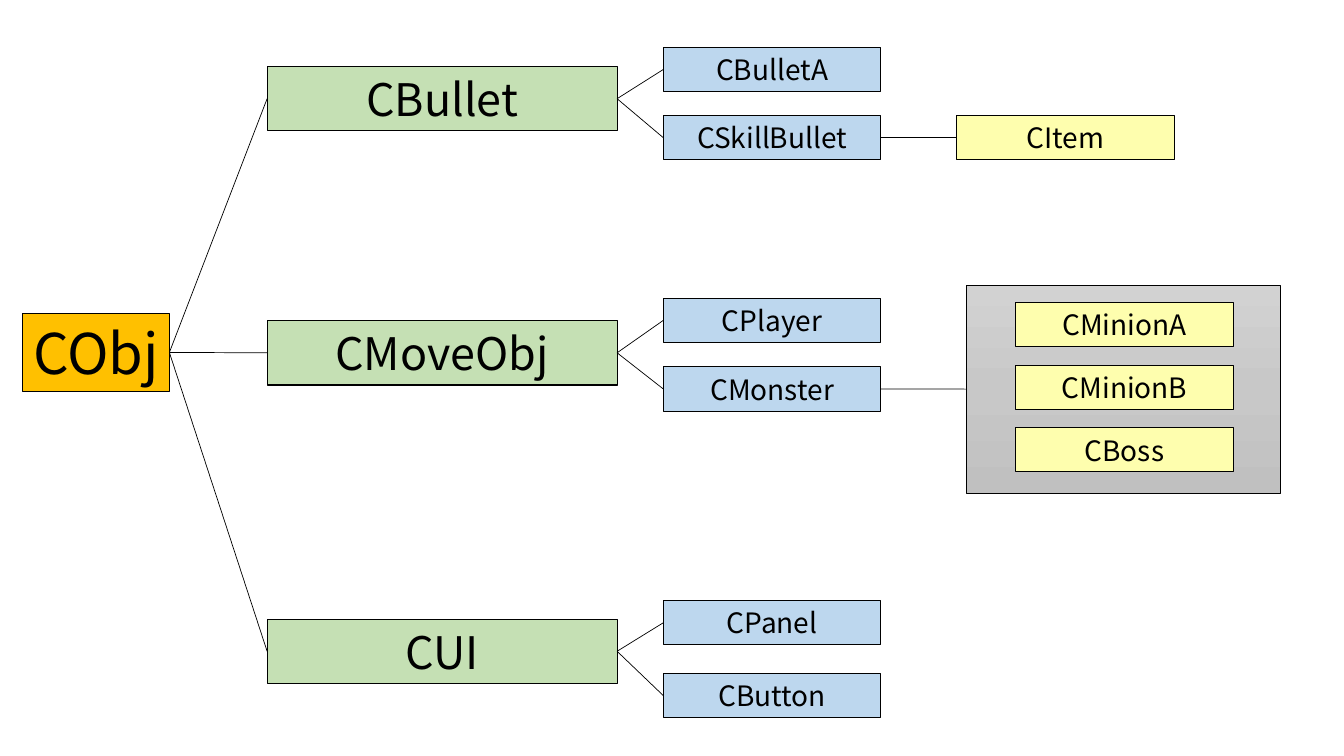
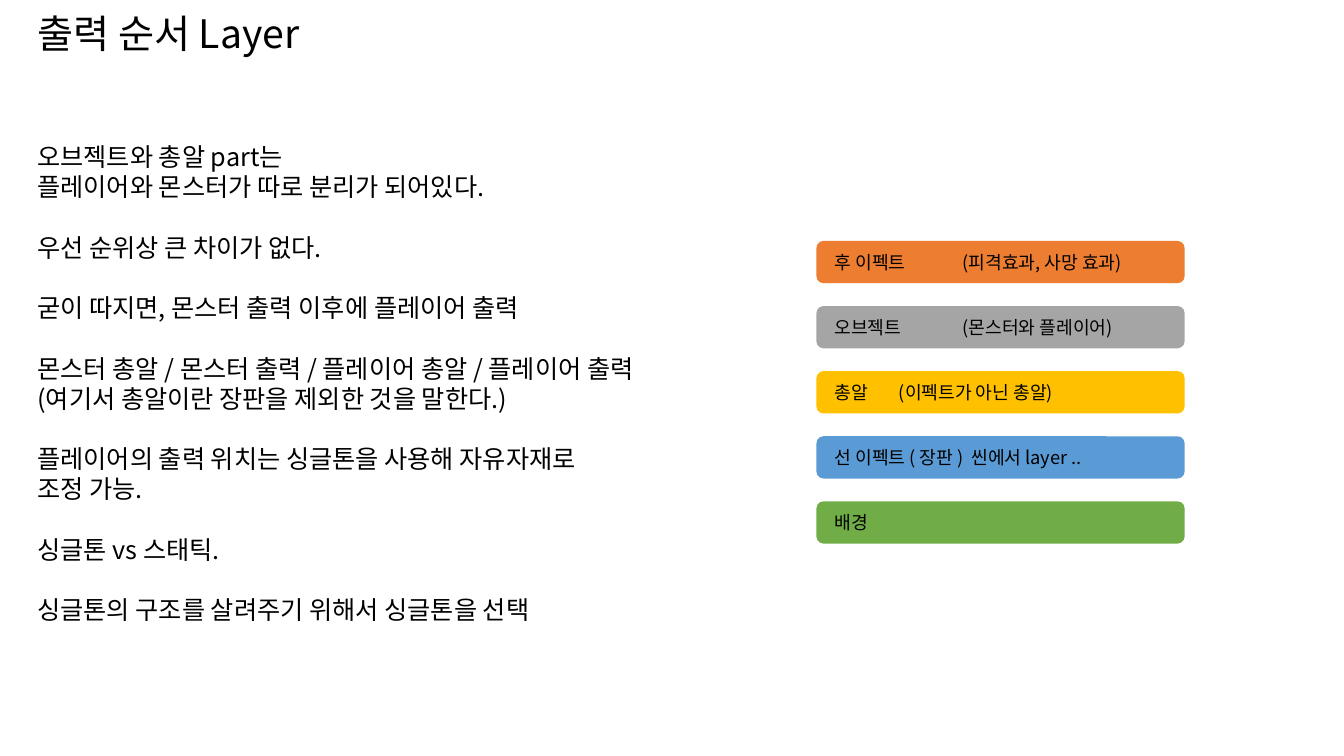
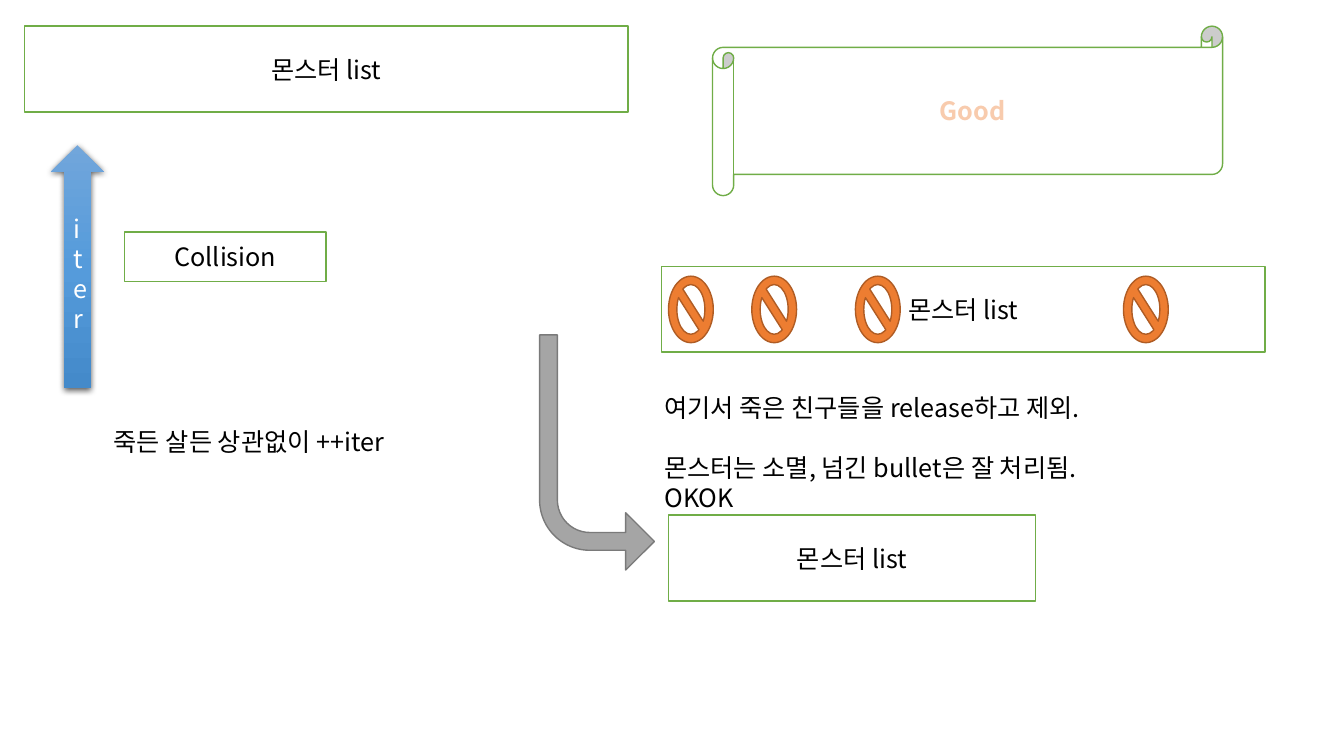
from lxml import etree
from pptx import Presentation
from pptx import util as u
from pptx.dml import color
from pptx.enum import shapes, text
from pptx.oxml import ns

Pt = u.Pt
Preset = shapes.MSO_SHAPE
Align = text.PP_ALIGN
Anchor = text.MSO_ANCHOR

# Shared style
FONT = "Noto Sans CJK KR"
BLACK, WHITE = "000000", "FFFFFF"
ORANGE, GREY, GOLD, BLUE, GREEN = "ED7D31", "A5A5A5", "FFC000", "5B9BD5", "70AD47"
PALE_GREEN, PALE_BLUE, PALE_YELLOW = "C5E0B4", "BDD7EE", "FEFEAE"
BODY_SIZE = 18
LINE_HEIGHT = 1.2


def rgb(hex_code):
    return color.RGBColor.from_string(hex_code)


def child(parent, tag, **attributes):
    """Append a DrawingML element."""
    values = {name: str(value) for name, value in attributes.items()}
    return etree.SubElement(parent, ns.qn("a:" + tag), values)


def before_font(paragraph, tag):
    """Put an element just ahead of the paragraph's font settings."""
    properties = paragraph._p.get_or_add_pPr()
    element = child(properties, tag)
    properties.find(ns.qn("a:defRPr")).addprevious(element)
    return element


def set_font(paragraph, size, ink=BLACK, bold=None):
    font = paragraph.font
    font.size, font.bold = Pt(size), bold
    font.color.rgb = rgb(ink)
    font.name = FONT
    child(paragraph._p.pPr.find(ns.qn("a:defRPr")), "ea", typeface=FONT)


def write_line(shape, words, size=BODY_SIZE, ink=BLACK, align=Align.CENTER, wrap=False, bold=None):
    """Write one vertically centred paragraph."""
    frame = shape.text_frame
    frame.word_wrap = wrap
    frame.vertical_anchor = Anchor.MIDDLE
    paragraph = frame.paragraphs[0]
    paragraph.text = words
    paragraph.alignment = align
    set_font(paragraph, size, ink, bold)
    return paragraph


def write_blocks(shape, blocks):
    """Write blocks of lines, with one line of space between blocks."""
    frame = shape.text_frame
    frame.word_wrap = True
    frame.auto_size = text.MSO_AUTO_SIZE.NONE
    frame.vertical_anchor = Anchor.TOP
    line = Pt(BODY_SIZE * LINE_HEIGHT)
    paragraph = None
    for number, block in enumerate(blocks):
        for row, words in enumerate(block):
            paragraph = frame.add_paragraph() if paragraph else frame.paragraphs[0]
            paragraph.text = words
            paragraph.alignment = Align.LEFT
            paragraph.line_spacing = line
            paragraph.space_before = line if number and not row else Pt(0)
            set_font(paragraph, BODY_SIZE)
            before_font(paragraph, "buNone")
            paragraph._p.pPr.set("marL", "0")
            paragraph._p.pPr.set("indent", "0")


def move(shape, x, y, width, height):
    shape.left, shape.top, shape.width, shape.height = map(Pt, (x, y, width, height))


def add_box(slide, preset, box, fill=None, edge=None, edge_width=1):
    shape = slide.shapes.add_shape(preset, *map(Pt, box))
    shape.shadow.inherit = False
    if fill:
        shape.fill.solid()
        shape.fill.fore_color.rgb = rgb(fill)
    if edge:
        shape.line.color.rgb = rgb(edge)
        shape.line.width = Pt(edge_width)
    else:
        shape.line.fill.background()
    return shape


def fade_down(shape, *hex_codes):
    """Fill from top to bottom with evenly spaced colours."""
    shape.fill.gradient()
    shape.fill.gradient_angle = 270
    stops = shape._element.spPr.find(".//" + ns.qn("a:gsLst"))
    for stop in list(stops):
        stops.remove(stop)
    for index, hex_code in enumerate(hex_codes):
        stop = child(stops, "gs", pos=100000 * index // (len(hex_codes) - 1))
        child(stop, "srgbClr", val=hex_code)


# Class tree
def add_class(slide, name, box, fill, size=20):
    node = add_box(slide, Preset.RECTANGLE, box, fill, BLACK, 0.75)
    write_line(node, name, size)
    return node


def link(slide, parent, heir):
    """Join the parent's right side to the heir's left side."""
    line = slide.shapes.add_connector(shapes.MSO_CONNECTOR.STRAIGHT, 0, 0, 0, 0)
    line.begin_connect(parent, 3)
    line.end_connect(heir, 1)
    line.line.color.rgb = rgb(BLACK)
    line.line.width = Pt(0.5)
    child(line._element.spPr, "effectLst")


def add_branch(slide, root, x, y, name, heirs):
    """Add a base class and its heirs, given as names and vertical offsets."""
    base = add_class(slide, name, (x, y, 250, 46), PALE_GREEN, 32)
    link(slide, root, base)
    nodes = []
    for heir_name, offset in heirs:
        heir = add_class(slide, heir_name, (x + 283, y + offset, 155.5, 31.7), PALE_BLUE)
        link(slide, base, heir)
        nodes.append(heir)
    return nodes


def add_monster_pane(slide, x, y):
    pane = add_box(slide, Preset.RECTANGLE, (x, y, 224, 148.3), edge=BLACK, edge_width=0.5)
    fade_down(pane, "D2D2D2", "C8C8C8", "C0C0C0")
    for index, name in enumerate(("CMinionA", "CMinionB", "CBoss")):
        add_class(slide, name, (x + 35, y + 12.3 + 44.7 * index, 155.5, 31.7), PALE_YELLOW)
    return pane


def class_tree_slide(deck):
    slide = deck.slides.add_slide(deck.slide_layouts[6])
    root = add_class(slide, "CObj", (16, 224, 105, 55.5), GOLD, 40)
    _, skill = add_branch(slide, root, 190.8, 47.5, "CBullet",
                          (("CBulletA", -13.7), ("CSkillBullet", 35)))
    _, monster = add_branch(slide, root, 190.8, 229, "CMoveObj",
                            (("CPlayer", -16), ("CMonster", 33)))
    add_branch(slide, root, 190.8, 442.2, "CUI", (("CPanel", -13.2), ("CButton", 38.8)))
    item = add_class(slide, "CItem", (683.3, 82.5, 155.5, 31.7), PALE_YELLOW)
    link(slide, skill, item)
    link(slide, monster, add_monster_pane(slide, 690.5, 203.8))


# Draw order
LAYERS = (
    ("후 이펙트\t(피격효과, 사망 효과)", ORANGE, 91.5),
    ("오브젝트\t(몬스터와 플레이어)", GREY, 91.5),
    ("총알\t(이펙트가 아닌 총알)", GOLD, 46),
    ("선 이펙트 ( 장판 )  씬에서 layer ..", BLUE, None),
    ("배경", GREEN, None),
)
ORDER_NOTES = (
    ("오브젝트와 총알 part는", "플레이어와 몬스터가 따로 분리가 되어있다."),
    ("우선 순위상 큰 차이가 없다.",),
    ("굳이 따지면, 몬스터 출력 이후에 플레이어 출력",),
    ("몬스터 총알 / 몬스터 출력 / 플레이어 총알 / 플레이어 출력",
     "(여기서 총알이란 장판을 제외한 것을 말한다.)"),
    ("플레이어의 출력 위치는 싱글톤을 사용해 자유자재로", "조정 가능."),
    ("싱글톤 vs 스태틱.",),
    ("싱글톤의 구조를 살려주기 위해서 싱글톤을 선택",),
)


def add_layer_stack(slide, x, y, width):
    for index, (name, fill, tab) in enumerate(LAYERS):
        bar = add_box(slide, Preset.ROUNDED_RECTANGLE, (x, y + 46.5 * index, width, 30.2), fill)
        label = write_line(bar, name, 13, align=Align.LEFT)
        bar.text_frame.margin_left = Pt(11.5)
        if tab:
            child(before_font(label, "tabLst"), "tab", pos=int(Pt(tab)), algn="l")


def draw_order_slide(deck):
    slide = deck.slides.add_slide(deck.slide_layouts[1])
    title, notes = slide.shapes.title, slide.placeholders[1]
    move(title, 19.5, 5, 828, 37)
    write_line(title, "출력 순서 Layer", 28, align=Align.LEFT, wrap=True)
    move(notes, 19.5, 97.2, 516, 356)
    write_blocks(notes, ORDER_NOTES)
    add_layer_stack(slide, 583.2, 172.1, 263)


# Monster list clean-up
def add_frame(slide, words, box):
    frame = add_box(slide, Preset.RECTANGLE, box, WHITE, GREEN)
    write_line(frame, words)


def add_note(slide, box, blocks):
    write_blocks(slide.shapes.add_textbox(*map(Pt, box)), blocks)


def add_iterator_arrow(slide, box):
    arrow = add_box(slide, Preset.UP_ARROW, box)
    fade_down(arrow, "71A6DB", "559BDB", "448ACA")
    label = write_line(arrow, "iter", ink=WHITE, wrap=True)
    label.line_spacing = Pt(BODY_SIZE * LINE_HEIGHT)
    effects = arrow._element.spPr.find(ns.qn("a:effectLst"))
    shadow = child(effects, "outerShdw", blurRad=int(Pt(4.5)), dist=int(Pt(1.5)),
                   dir=5400000, rotWithShape=0)
    child(child(shadow, "srgbClr", val=BLACK), "alpha", val=63000)


def add_dead_list(slide, x, y):
    """Add the list with its dead monsters crossed out."""
    add_frame(slide, "몬스터 list", (x, y, 431, 61.2))
    for offset in (5, 64.5, 138.5, 330):
        add_box(slide, Preset.NO_SYMBOL, (x + offset, y + 7, 32, 47.5), ORANGE, "AF5C24")


def add_turn_arrow(slide, box):
    arrow = add_box(slide, Preset.BENT_ARROW, box, GREY, "7A7A7A")
    for index, value in enumerate((0.155, 0.25, 0.25, 0.438)):
        arrow.adjustments[index] = value
    arrow.rotation = 180
    arrow._element.spPr.xfrm.set("flipH", "1")


def add_verdict_scroll(slide, box):
    scroll = add_box(slide, Preset.HORIZONTAL_SCROLL, box, WHITE, GREEN)
    verdict = write_line(scroll, "Good", ink="F8CBAD", bold=True)
    letters = verdict._p.pPr.find(ns.qn("a:defRPr"))
    outline = child(letters, "ln", w=int(Pt(1.75)))
    child(child(outline, "solidFill"), "srgbClr", val=ORANGE)
    letters.insert(0, outline)


def monster_list_slide(deck):
    slide = deck.slides.add_slide(deck.slide_layouts[6])
    add_frame(slide, "몬스터 list", (17.5, 18.7, 431, 61.2))
    add_iterator_arrow(slide, (36.2, 103.7, 38.2, 173.5))
    add_frame(slide, "Collision", (89, 165.8, 144, 35.3))
    add_note(slide, (74.2, 301, 406, 29), (("죽든 살든 상관없이 ++iter",),))
    add_dead_list(slide, 472.5, 190.3)
    add_note(slide, (467.5, 276.5, 406, 94),
             (("여기서 죽은 친구들을 release하고 제외.",),
              ("몬스터는 소멸, 넘긴 bullet은 잘 처리됨.", "OKOK")))
    add_frame(slide, "몬스터 list", (477.5, 368, 262, 61.2))
    add_turn_arrow(slide, (385.4, 239.2, 82, 168))
    add_verdict_scroll(slide, (509, 18.7, 364.3, 121))


def main():
    deck = Presentation()
    deck.slide_width, deck.slide_height = Pt(960), Pt(540)
    class_tree_slide(deck)
    draw_order_slide(deck)
    monster_list_slide(deck)
    deck.save("out.pptx")


if __name__ == "__main__":
    main()
